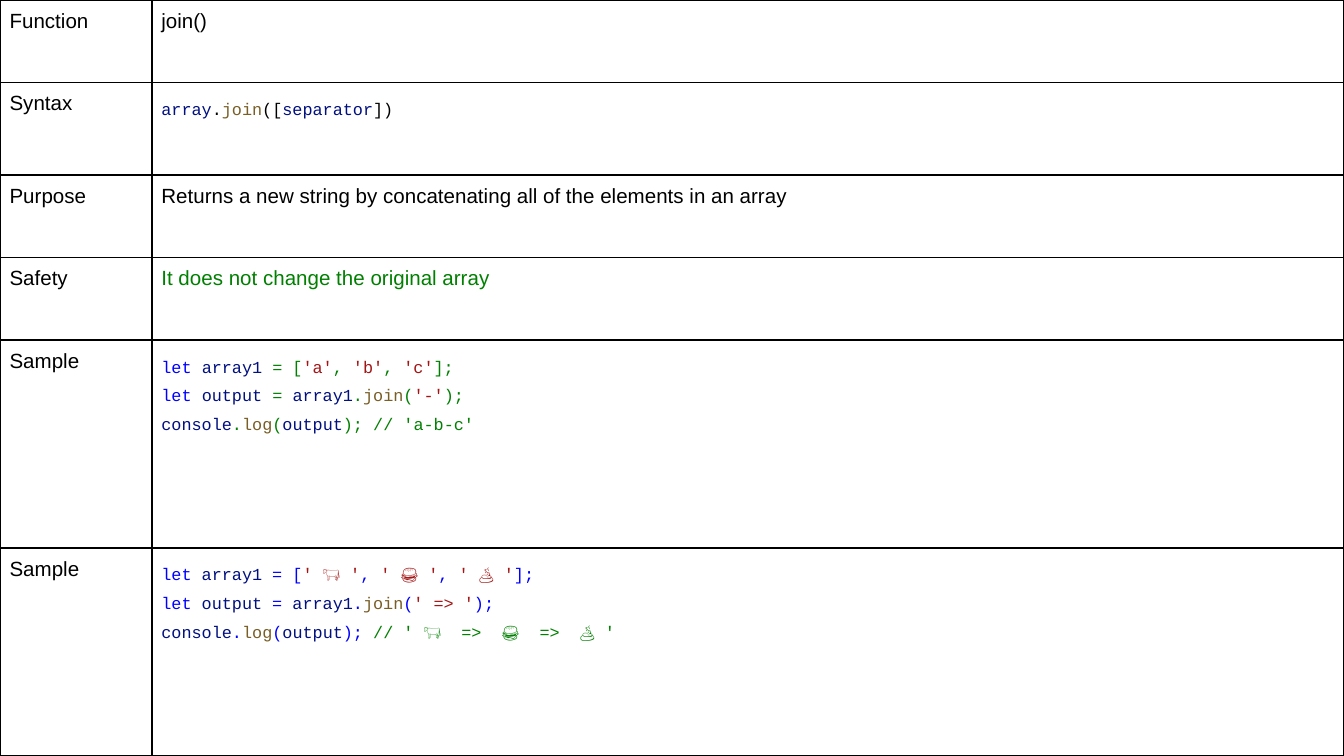
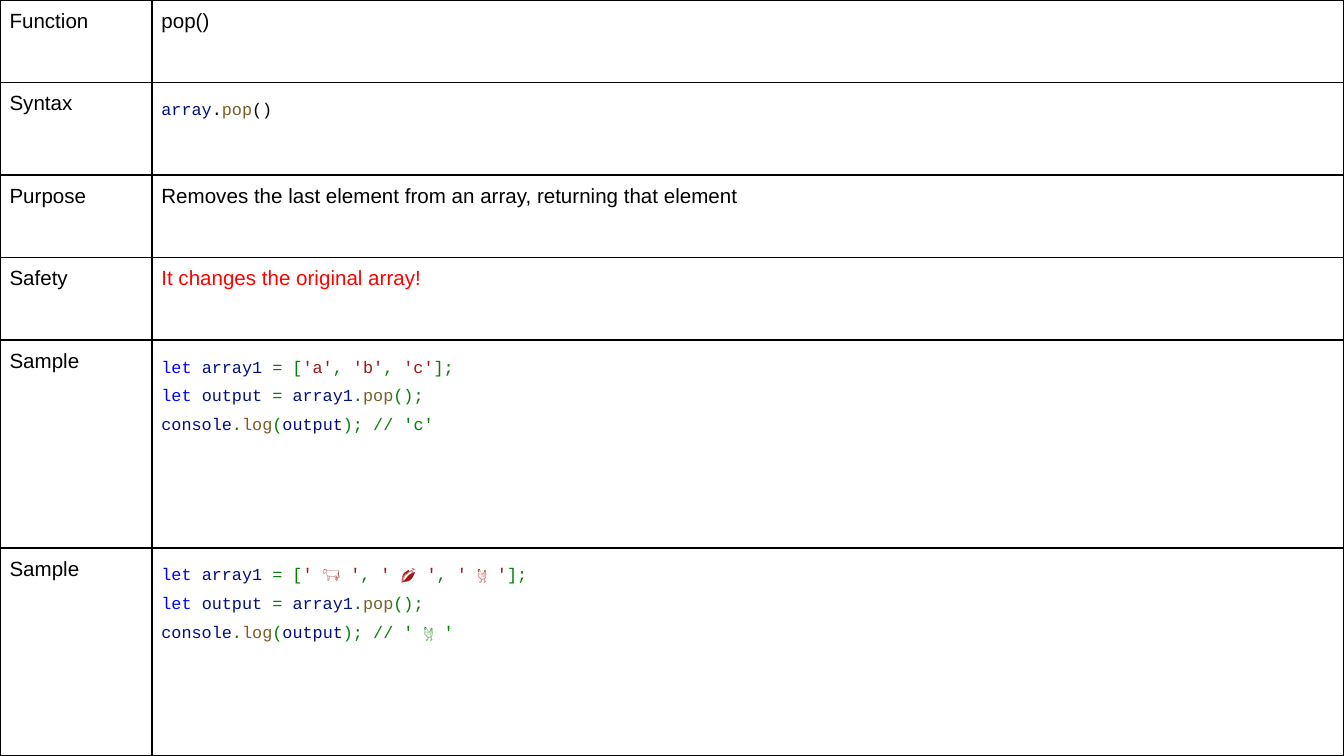
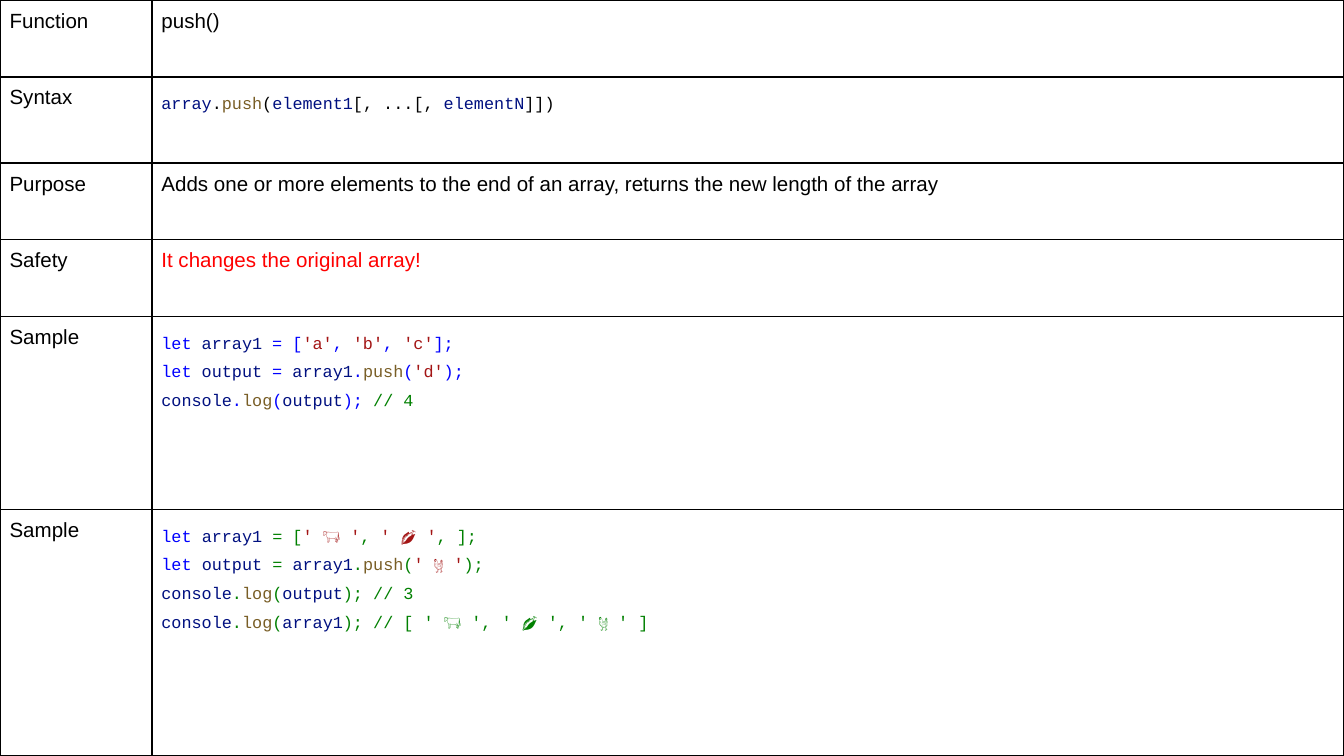
from itertools import groupby

from lxml.etree import SubElement
from pptx import Presentation
from pptx.dml.color import RGBColor
from pptx.oxml.ns import qn
from pptx.util import Cm, Pt

BLACK, WHITE = "000000", "FFFFFF"
BLUE, GREEN, RED = "0000FF", "008000", "FF0000"
VARIABLE, METHOD, STRING = "001080", "795E26", "A31515"
WORD_COLORS = {"let": BLUE} | dict.fromkeys(("join", "pop", "push", "log"), METHOD)

LABELS = ("Function", "Syntax", "Purpose", "Safety", "Sample", "Sample")
COLUMNS = (2.87, 22.53)
EVEN_ROWS = (1.56, 1.75, 1.56, 1.56, 3.93, 3.93)
TALL_LAST_ROW = (1.45, 1.63, 1.45, 1.45, 3.65, 4.66)

SAFE = ("It does not change the original array", GREEN)
UNSAFE = ("It changes the original array!", RED)

# Each sample is the colour of its punctuation and its lines of code.
CARDS = [
    dict(
        name="join()",
        syntax="array.join([separator])",
        purpose="Returns a new string by concatenating all of the elements in an array",
        safety=SAFE,
        rows=EVEN_ROWS,
        samples=[
            (GREEN, ["let array1 = ['a', 'b', 'c'];",
                     "let output = array1.join('-');",
                     "console.log(output); // 'a-b-c'"]),
            (BLUE, ["let array1 = [' 🐄 ', ' 🍔 ', ' 💩 '];",
                    "let output = array1.join(' => ');",
                    "console.log(output); // ' 🐄  =>  🍔  =>  💩 '"]),
        ],
    ),
    dict(
        name="pop()",
        syntax="array.pop()",
        purpose="Removes the last element from an array, returning that element",
        safety=UNSAFE,
        rows=EVEN_ROWS,
        samples=[
            (GREEN, ["let array1 = ['a', 'b', 'c'];",
                     "let output = array1.pop();",
                     "console.log(output); // 'c'"]),
            (GREEN, ["let array1 = [' 🐄 ', ' 🌽 ', ' 🐔 '];",
                     "let output = array1.pop();",
                     "console.log(output); // ' 🐔 '"]),
        ],
    ),
    dict(
        name="push()",
        syntax="array.push(element1[, ...[, elementN]])",
        purpose="Adds one or more elements to the end of an array, "
                "returns the new length of the array",
        safety=UNSAFE,
        rows=TALL_LAST_ROW,
        samples=[
            (BLUE, ["let array1 = ['a', 'b', 'c'];",
                    "let output = array1.push('d');",
                    "console.log(output); // 4"]),
            (GREEN, ["let array1 = [' 🐄 ', ' 🌽 ', ];",
                     "let output = array1.push(' 🐔 ');",
                     "console.log(output); // 3",
                     "console.log(array1); // [ ' 🐄 ', ' 🌽 ', ' 🐔 ' ]"]),
        ],
    ),
]


def rgb(color):
    return RGBColor.from_string(color)


def highlight(line, punctuation):
    """Yield (text, colour) for each token of a line of JavaScript."""
    code, slashes, comment = line.partition("//")
    for i, part in enumerate(code.split("'")):
        if i % 2:
            yield f"'{part}'", STRING
            continue
        for is_word, chars in groupby(part, str.isalnum):
            text = "".join(chars)
            yield text, WORD_COLORS.get(text, VARIABLE) if is_word else punctuation
    if slashes:
        yield slashes + comment, GREEN


class Deck:
    text_font, text_size = "Arial", Pt(11)
    code_font, code_size = "Courier New", Pt(9)
    inset = Cm(0.18)

    def __init__(self):
        self.prs = Presentation()
        self.prs.slide_width, self.prs.slide_height = Cm(25.4), Cm(14.29)
        self.s = None

    def slide(self):
        self.s = self.prs.slides.add_slide(self.prs.slide_layouts[6])

    def table(self, columns, rows):
        frame = self.s.shapes.add_table(len(rows), len(columns), 0, 0,
                                        Cm(sum(columns)), Cm(sum(rows)))
        table = frame.table
        table.first_row = table.horz_banding = False
        for column, width in zip(table.columns, columns):
            column.width = Cm(width)
        for row, height in zip(table.rows, rows):
            row.height = Cm(height)
        for cell in table.iter_cells():
            self.style_cell(cell)
        return table

    def style_cell(self, cell):
        cell.margin_left = cell.margin_right = self.inset
        cell.margin_top = cell.margin_bottom = self.inset
        tc_pr = cell._tc.get_or_add_tcPr()
        for side in ("a:lnL", "a:lnR", "a:lnT", "a:lnB"):
            ln = SubElement(tc_pr, qn(side), w=str(Pt(1)))
            fill = SubElement(ln, qn("a:solidFill"))
            SubElement(fill, qn("a:srgbClr"), val=BLACK)
        cell.fill.solid()
        cell.fill.fore_color.rgb = rgb(WHITE)

    def text(self, cell, text, color=BLACK):
        p = cell.text_frame.paragraphs[0]
        p.text = text
        p.font.name, p.font.size = self.text_font, self.text_size
        p.font.color.rgb = rgb(color)

    def code(self, cell, lines, punctuation=BLACK):
        tf = cell.text_frame
        for i, line in enumerate(lines):
            p = tf.add_paragraph() if i else tf.paragraphs[0]
            p.line_spacing = 1.5
            p.font.name, p.font.size = self.code_font, self.code_size
            for text, color in highlight(line, punctuation):
                r = p.add_run()
                r.text = text
                r.font.color.rgb = rgb(color)

    def function_card(self, name, syntax, purpose, safety, rows, samples):
        self.slide()
        table = self.table(COLUMNS, rows)
        for i, label in enumerate(LABELS):
            self.text(table.cell(i, 0), label)
        self.text(table.cell(0, 1), name)
        self.code(table.cell(1, 1), [syntax])
        self.text(table.cell(2, 1), purpose)
        self.text(table.cell(3, 1), *safety)
        for i, (punctuation, lines) in enumerate(samples, start=4):
            self.code(table.cell(i, 1), lines, punctuation)


def main():
    deck = Deck()
    for card in CARDS:
        deck.function_card(**card)
    deck.prs.save("out.pptx")


if __name__ == "__main__":
    main()
